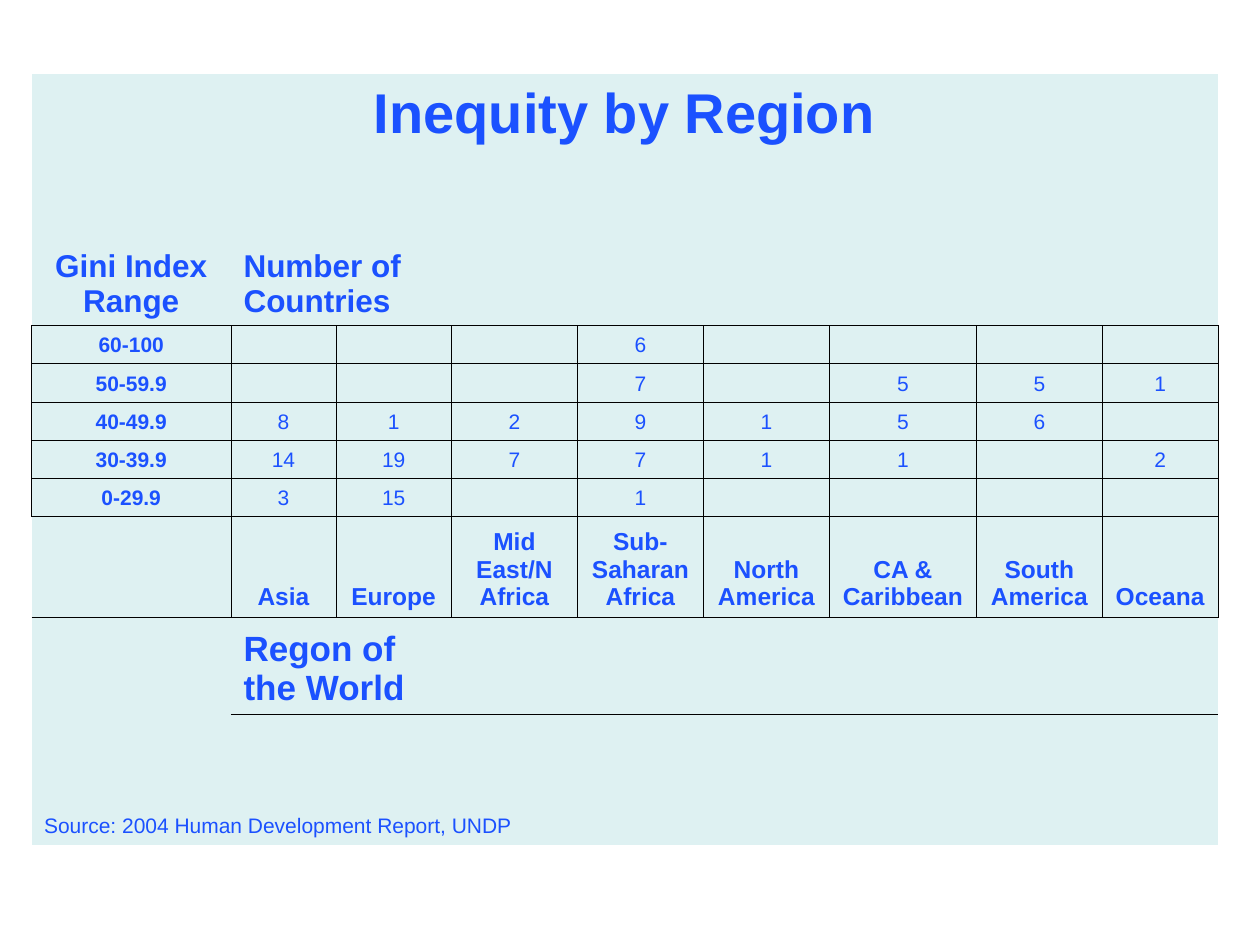
"""Build a slide with a table of income inequity by world region."""
from pptx import Presentation
from pptx.dml.color import RGBColor
from pptx.enum.text import MSO_ANCHOR, PP_ALIGN
from pptx.oxml.ns import qn
from pptx.util import Pt
from lxml import etree

BLUE = RGBColor(0x1B, 0x51, 0xFF)
PALE = RGBColor(0xDE, 0xF1, 0xF2)
BLACK = RGBColor(0, 0, 0)
LEFT, CENTER = PP_ALIGN.LEFT, PP_ALIGN.CENTER
BOTTOM = MSO_ANCHOR.BOTTOM
PLAIN = "{2D5ABB26-0587-4C30-8999-92F81FD0307C}"
SIDES = [("L", 0, -1), ("R", 0, 1), ("T", -1, 0), ("B", 1, 0)]

WIDTHS = [114, 60, 15, 51, 72, 72, 72, 84, 72, 66]
HEIGHTS = [45, 48, 51] + [21.5] * 5 + [57.5, 55.5, 47.5, 27]
FIRST, LAST = 3, 8
COLS = [1, 2, 4, 5, 6, 7, 8, 9]
RANGES = ["60-100", "50-59.9", "40-49.9", "30-39.9", "0-29.9"]
COUNTS = [
    ["", "", "", 6, "", "", "", ""],
    ["", "", "", 7, "", 5, 5, 1],
    [8, 1, 2, 9, 1, 5, 6, ""],
    [14, 19, 7, 7, 1, 1, "", 2],
    [3, 15, "", 1, "", "", "", ""],
]
REGIONS = ["Asia", "Europe", "Mid East/N Africa", "Sub-Saharan Africa",
           "North America", "CA & Caribbean", "South America", "Oceana"]
SPANS = [(0, 0, 9), (1, 1, 2), (2, 1, 3), (9, 1, 3), (10, 1, 2), (11, 0, 4)]
SPANS += [(row, 2, 3) for row in range(FIRST, LAST + 1)]


def in_grid(row, col):
    return 0 <= col < len(WIDTHS) and FIRST <= row <= LAST and (col > 0 or row < LAST)


def put(row, col, text, size, bold=True, align=CENTER):
    cell = table.cell(row, col)
    cell.vertical_anchor = BOTTOM
    para = cell.text_frame.paragraphs[0]
    para.text = str(text)
    para.alignment = align
    for run in para.runs:
        run.font.name = "Arial"
        run.font.size = Pt(size)
        run.font.bold = bold
        run.font.color.rgb = BLUE


deck = Presentation()
deck.slide_width, deck.slide_height = Pt(720), Pt(540)
slide = deck.slides.add_slide(deck.slide_layouts[6])
frame = slide.shapes.add_table(len(HEIGHTS), len(WIDTHS), Pt(18), Pt(42),
                               Pt(sum(WIDTHS)), Pt(sum(HEIGHTS)))
table = frame.table
table.first_row = table.horz_banding = False
table._tbl.tblPr.find(qn("a:tableStyleId")).text = PLAIN
for col, width in enumerate(WIDTHS):
    table.columns[col].width = Pt(width)
for row, height in enumerate(HEIGHTS):
    table.rows[row].height = Pt(height)

for row in range(len(HEIGHTS)):
    for col in range(len(WIDTHS)):
        cell = table.cell(row, col)
        props = cell._tc.get_or_add_tcPr()
        for side, down, over in SIDES:
            if in_grid(row, col) or in_grid(row + down, col + over):
                line = etree.SubElement(props, qn("a:ln" + side), w=str(Pt(0.45)))
                paint = etree.SubElement(line, qn("a:solidFill"))
                etree.SubElement(paint, qn("a:srgbClr"), val=str(BLACK))
        cell.fill.solid()
        cell.fill.fore_color.rgb = PALE
        para = cell.text_frame.paragraphs[0]
        etree.SubElement(para._p, qn("a:endParaRPr"), sz="1200")

for row, start, end in SPANS:
    table.cell(row, start).merge(table.cell(row, end))

put(0, 0, "Inequity by Region", 32)
put(2, 0, "Gini Index Range", 18)
put(2, 1, "Number of Countries", 18, align=LEFT)
for row, (label, counts) in enumerate(zip(RANGES, COUNTS), FIRST):
    put(row, 0, label, 12)
    for col, count in zip(COLS, counts):
        put(row, col, count, 12, bold=False)
for col, region in zip(COLS, REGIONS):
    put(LAST, col, region, 14)
put(9, 1, "Regon of the World", 20, align=LEFT)
put(11, 0, "Source: 2004 Human Development Report, UNDP", 12, bold=False, align=LEFT)

deck.save("out.pptx")
